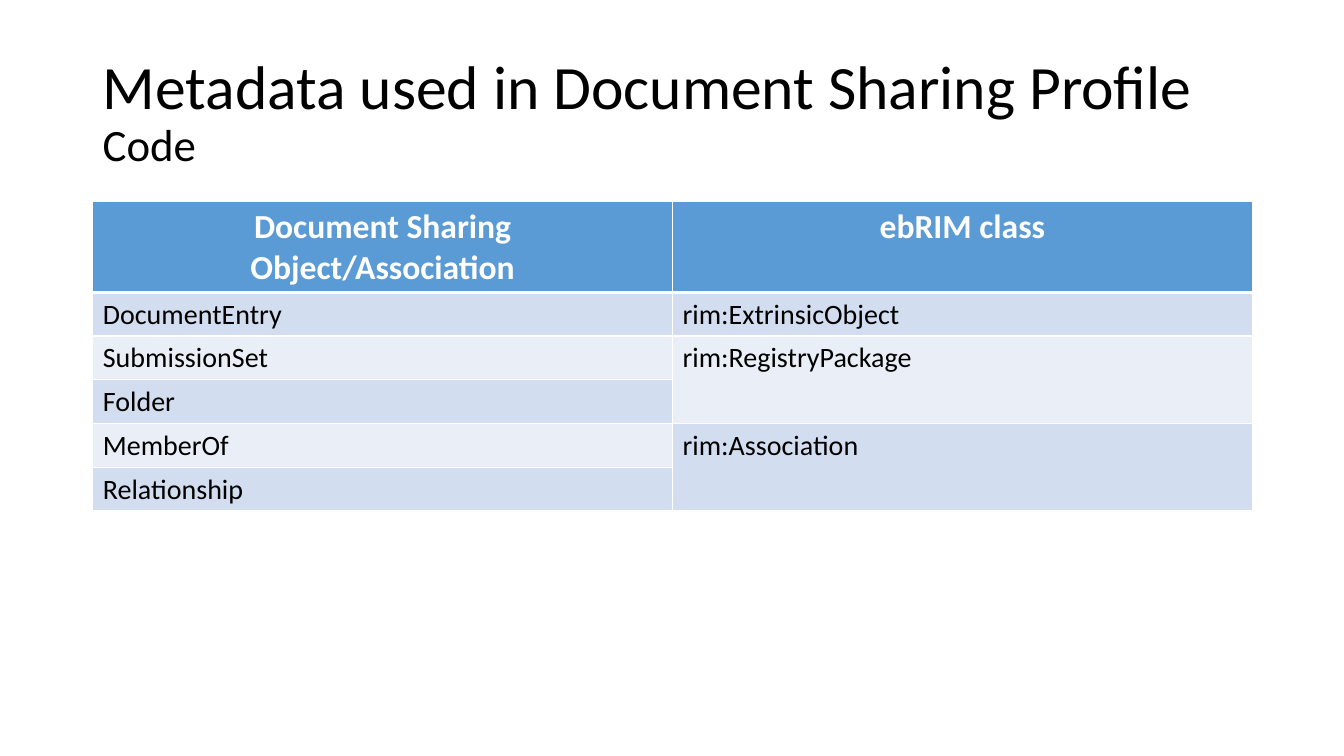
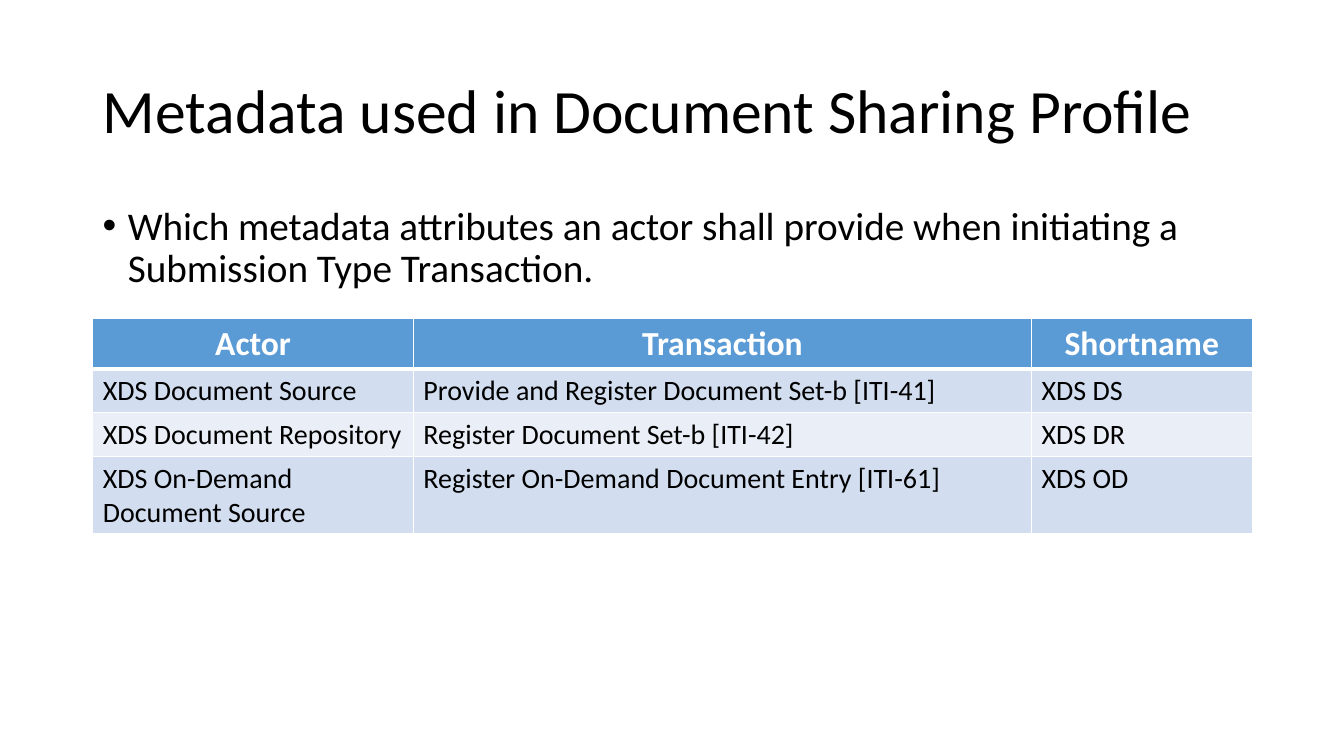
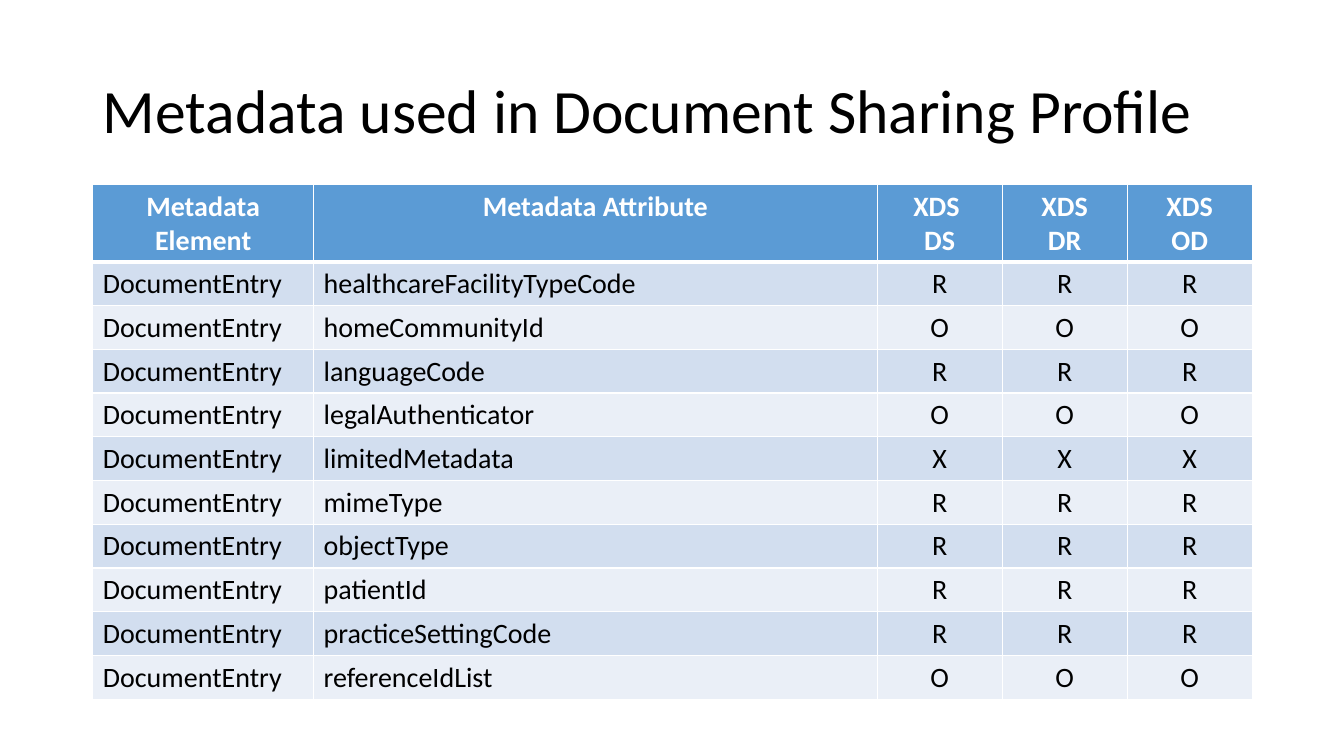
from lxml.etree import SubElement
from pptx import Presentation
from pptx.dml.color import RGBColor
from pptx.enum.text import MSO_ANCHOR as Anchor, PP_ALIGN as Align
from pptx.oxml.ns import qn
from pptx.util import Inches, Pt

COLORS = {
    "text": "000000",
    "white": "FFFFFF",
    "header": "5B9BD5",
    "band_dark": "D2DEEF",
    "band_light": "EAEFF7",
}
FONT = "Calibri"
TITLE = "Metadata used in Document Sharing Profile"
LEFT, WIDTH = 0.92, 11.5
TITLE_BOX = (LEFT, 0.4, WIDTH, 1.45)
ROW_HEIGHT = 0.41


def color(name):
    return RGBColor.from_string(COLORS[name])


def format_font(font, size, bold=False, color_name="text"):
    values = {"name": FONT, "size": Pt(size), "bold": bold}
    for attribute, value in values.items():
        setattr(font, attribute, value)
    font.color.rgb = color(color_name)


def add_text_frame(slide, box, anchor):
    frame = slide.shapes.add_textbox(*map(Inches, box)).text_frame
    frame.word_wrap = True
    frame.vertical_anchor = anchor
    frame.paragraphs[0].line_spacing = 0.9
    return frame


def add_title(slide, box, subtitle=None):
    paragraph = add_text_frame(slide, box, Anchor.MIDDLE).paragraphs[0]
    run = paragraph.add_run()
    run.text = TITLE
    format_font(run.font, 44)
    if subtitle:
        paragraph.add_line_break()
        run = paragraph.add_run()
        run.text = subtitle
        format_font(run.font, 32)


def add_bullet(slide, box, text):
    paragraph = add_text_frame(slide, box, Anchor.TOP).paragraphs[0]
    properties = paragraph._p.get_or_add_pPr()
    properties.set("marL", str(Inches(0.25)))
    properties.set("indent", str(-Inches(0.25)))
    SubElement(properties, qn("a:buFont"), typeface="Arial")
    SubElement(properties, qn("a:buChar"), char="•")
    run = paragraph.add_run()
    run.text = text
    format_font(run.font, 28)


def set_borders(cell, top, bottom):
    """Draw white cell borders; top and bottom widths are in points."""
    properties = cell._tc.get_or_add_tcPr()
    for side, width in {"L": 1, "R": 1, "T": top, "B": bottom}.items():
        line = SubElement(properties, qn(f"a:ln{side}"), w=str(Pt(width)))
        fill = SubElement(line, qn("a:solidFill"))
        SubElement(fill, qn("a:srgbClr"), val=COLORS["white"])


def fill_cell(cell, paragraphs, fill, align, font_values):
    """Write one paragraph per item; a newline inside an item is a line break."""
    cell.fill.solid()
    cell.fill.fore_color.rgb = color(fill)
    frame = cell.text_frame
    for index, text in enumerate(paragraphs):
        paragraph = frame.add_paragraph() if index else frame.paragraphs[0]
        paragraph.text = text
        paragraph.alignment = align
        for run in paragraph.runs:
            format_font(run.font, **font_values)


def add_data_table(slide, box, widths, rows, header_size=24,
                   header_height=ROW_HEIGHT, centered=(), merges=()):
    """Add a banded table; merges holds (first row, last row, column, fill)."""
    frame = slide.shapes.add_table(len(rows), len(widths), *map(Inches, box))
    table = frame.table
    table.horz_banding = False
    for column, width in zip(table.columns, widths):
        column.width = Inches(width)
    for row_index, texts in enumerate(rows):
        is_header = row_index == 0
        table.rows[row_index].height = Inches(header_height if is_header else ROW_HEIGHT)
        if is_header:
            fill = "header"
            font_values = {"size": header_size, "bold": True, "color_name": "white"}
        else:
            fill = "band_dark" if row_index % 2 else "band_light"
            font_values = {"size": 20}
        for column_index, text in enumerate(texts):
            cell = table.cell(row_index, column_index)
            set_borders(cell, 3 if row_index == 1 else 1, 3 if is_header else 1)
            align = Align.CENTER if is_header or column_index in centered else Align.LEFT
            paragraphs = text if isinstance(text, tuple) else (text,)
            fill_cell(cell, paragraphs, fill, align, font_values)
    for first, last, column_index, fill in merges:
        cell = table.cell(first, column_index)
        cell.merge(table.cell(last, column_index))
        cell.fill.fore_color.rgb = color(fill)
    frame.height = Inches(box[3])


def build_class_slide(slide):
    add_title(slide, TITLE_BOX, "Code")
    rows = [
        ("Document Sharing\nObject/Association", "ebRIM class"),
        ("DocumentEntry", "rim:ExtrinsicObject"),
        ("SubmissionSet", "rim:RegistryPackage"),
        ("Folder", ""),
        ("MemberOf", "rim:Association"),
        ("Relationship", ""),
    ]
    add_data_table(slide, (LEFT, 2, WIDTH, 3.07), (WIDTH / 2, WIDTH / 2), rows,
                   merges=[(2, 3, 1, "band_light"), (4, 5, 1, "band_dark")])


def build_actor_slide(slide):
    add_title(slide, TITLE_BOX)
    add_bullet(slide, (LEFT, 2, WIDTH, 4.76),
               "Which metadata attributes an actor shall provide when initiating a "
               "Submission Type Transaction.")
    rows = [
        ("Actor", "Transaction", "Shortname"),
        ("XDS Document Source", "Provide and Register Document Set-b [ITI-41]", "XDS DS"),
        ("XDS Document Repository", "Register Document Set-b [ITI-42]", "XDS DR"),
        ("XDS On-Demand Document Source", "Register On-Demand Document Entry [ITI-61]",
         "XDS OD"),
    ]
    add_data_table(slide, (LEFT, 3.16, WIDTH, 2.13), (3.18, 6.13, 2.19), rows)


def build_attribute_slide(slide):
    add_title(slide, TITLE_BOX)
    attributes = {
        "healthcareFacilityTypeCode": "R",
        "homeCommunityId": "O",
        "languageCode": "R",
        "legalAuthenticator": "O",
        "limitedMetadata": "X",
        "mimeType": "R",
        "objectType": "R",
        "patientId": "R",
        "practiceSettingCode": "R",
        "referenceIdList": "O",
    }
    header = ("Metadata Element", "Metadata Attribute",
              ("XDS ", "DS"), ("XDS", "DR"), ("XDS", "OD"))
    rows = [header] + [("DocumentEntry", name, code, code, code)
                       for name, code in attributes.items()]
    add_data_table(slide, (LEFT, 1.83, WIDTH, 5.1), (2.19, 5.59, 1.24, 1.24, 1.24),
                   rows, header_size=20, header_height=0.64, centered=(2, 3, 4))


def main():
    presentation = Presentation()
    presentation.slide_width = Inches(13.33)
    presentation.slide_height = Inches(7.5)
    blank_layout = presentation.slide_layouts[6]
    for build in (build_class_slide, build_actor_slide, build_attribute_slide):
        build(presentation.slides.add_slide(blank_layout))
    presentation.save("out.pptx")


if __name__ == "__main__":
    main()
